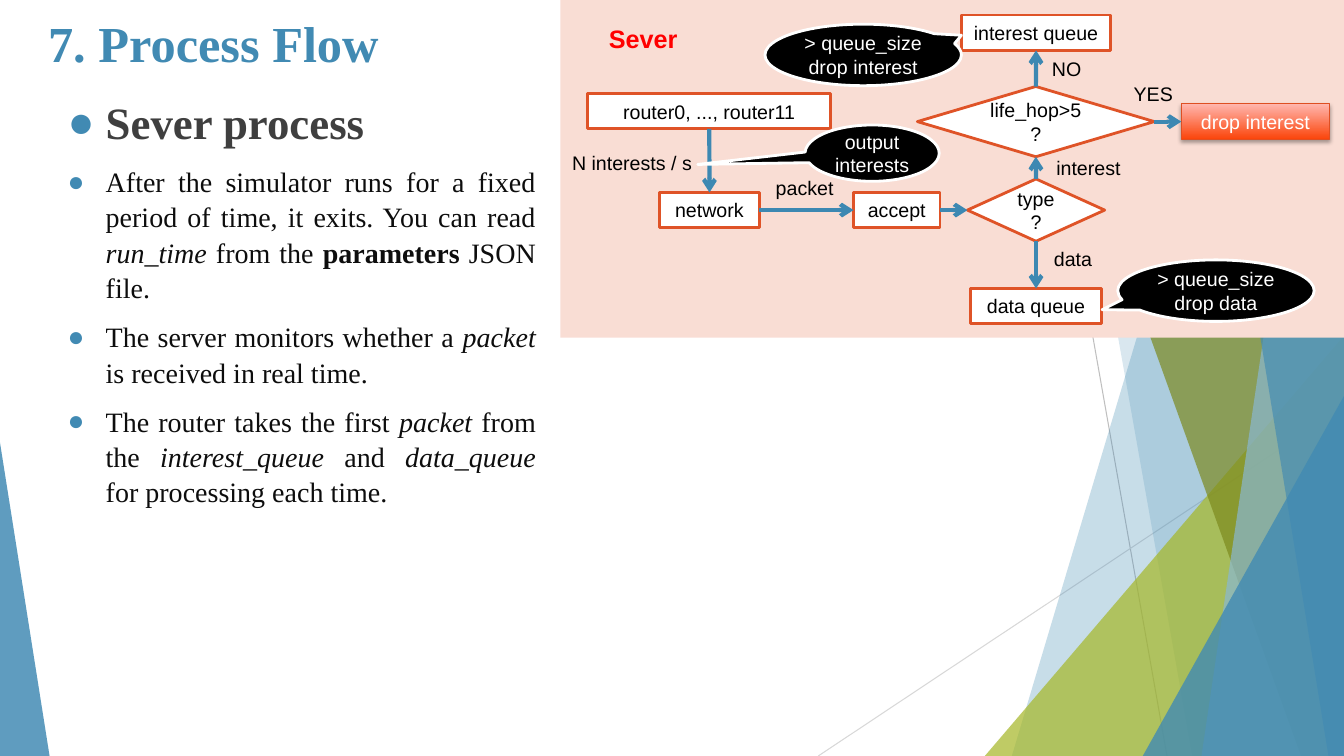
"""Builds the process flow slide with its server flowchart."""
from lxml.etree import SubElement
from pptx import Presentation
from pptx.dml.color import RGBColor
from pptx.enum.shapes import MSO_CONNECTOR, MSO_SHAPE as Kind
from pptx.enum.text import MSO_ANCHOR as Anchor, MSO_AUTO_SIZE as AutoSize, PP_ALIGN as Align
from pptx.oxml.ns import qn
from pptx.util import Cm, Pt

COLORS = {
    "blue": "418AB3", "sky": "89B8D4", "lime": "A6B727", "olive": "7C891D",
    "ray": "BFBFBF", "pale_ray": "D8D8D8", "panel": "F9DDD4", "orange": "DF5327",
    "rust": "DF4F22", "flame": "FB450B", "blush": "FFB6AE", "arrow": "3D88B2",
    "white": "FFFFFF", "black": "000000", "red": "FF0000",
    "heading": "3F3F3F", "body": "0D0D0D",
}
SLIDE_W, SLIDE_H = 33.87, 19.05
SERIF, SANS = "Times New Roman", "Arial"

TITLE = "7. Process Flow"
TITLE_BOX = (0, 0.03, 25.96, 2.16)
BODY_BOX = (1.14, 2.13, 12.62, 10.03)
BULLETS = [
    [("Sever process", "heading")],
    [("After the simulator runs for a fixed period of time, it exits. You can read ", "plain"),
     ("run_time", "italic"), (" from the ", "plain"), ("parameters", "bold"),
     (" JSON file.", "plain")],
    [("The server monitors whether a ", "plain"), ("packet", "italic"),
     (" is received in real time.", "plain")],
    [("The router takes the first ", "plain"), ("packet", "italic"), (" from the ", "plain"),
     ("interest_queue", "italic"), (" and ", "plain"), ("data_queue", "italic"),
     (" for processing each time.", "plain")],
]
STYLES = {
    "title": dict(name=SERIF, size=Pt(36), bold=True, color="blue"),
    "heading": dict(name=SERIF, size=Pt(32), bold=True, color="heading"),
    "plain": dict(name=SERIF, size=Pt(20), bold=False, color="body"),
    "italic": dict(name=SERIF, size=Pt(20), italic=True, color="body"),
    "bold": dict(name=SERIF, size=Pt(20), bold=True, color="body"),
    "dark": dict(name=SANS, size=Pt(14), color="black"),
    "light": dict(name=SANS, size=Pt(14), color="white"),
    "server": dict(name=SANS, size=Pt(18), bold=True, color="red"),
}

RAYS = [((26.04, 0), (29.41, SLIDE_H), "ray"),
        ((SLIDE_W, 10.24), (20.62, SLIDE_H), "pale_ray")]
FACETS = [
    ("band", (31.19, 25.5), "blue", 29),
    ("band", (26.67, 30.05), "blue", 20),
    ("triangle", (24.82, 8.46, 9.05, 1), "lime", 71),
    ("band", (25.93, 32.79), "olive", 69),
    ("band", (33.1, 30.28), "sky", 69),
    ("band", (30.38, 33.48), "blue", 64),
    ("triangle", (28.8, 9.98, 5.07, 1), "blue", 80),
    ("triangle", (0, 11.15, 1.25, 0), "blue", 84),
]
PANEL = (14.12, 0, 19.75, 8.51)
NODES = {
    "accept": (Kind.RECTANGLE, (21.51, 4.85, 2.18, 0.89)),
    "drop interest": (Kind.RECTANGLE, (29.77, 2.62, 3.74, 0.89)),
    "data queue": (Kind.RECTANGLE, (24.46, 7.27, 3.3, 0.89)),
    "type ?": (Kind.DIAMOND, (24.38, 4.51, 3.46, 1.57)),
    "network": (Kind.RECTANGLE, (16.62, 4.85, 2.52, 0.89)),
    "router0, ..., router11": (Kind.RECTANGLE, (14.81, 2.36, 6.13, 0.89)),
    "life_hop>5 ?": (Kind.DIAMOND, (23.12, 2.18, 5.97, 1.77)),
    "interest queue": (Kind.RECTANGLE, (24.24, 0.38, 3.74, 0.89)),
}
TOP, LEFT, BOTTOM, RIGHT = range(4)
FLOWS = [
    ("router0, ..., router11", BOTTOM, "network", TOP),
    ("network", RIGHT, "accept", LEFT),
    ("accept", RIGHT, "type ?", LEFT),
    ("type ?", TOP, "life_hop>5 ?", BOTTOM),
    ("type ?", BOTTOM, "data queue", TOP),
    ("life_hop>5 ?", RIGHT, "drop interest", LEFT),
    ("life_hop>5 ?", TOP, "interest queue", BOTTOM),
]
LABELS = [
    ("packet", (19.3, 4.32, 2.03, 0.86), Align.LEFT, "dark"),
    ("N interests / s", (14, 3.68, 3.86, 0.86), Align.CENTER, "dark"),
    ("interest", (26.37, 3.81, 2.34, 0.86), Align.LEFT, "dark"),
    ("data", (26.31, 6.1, 1.57, 0.86), Align.LEFT, "dark"),
    ("NO", (26.26, 1.3, 1.32, 0.86), Align.LEFT, "dark"),
    ("YES", (28.32, 1.93, 1.6, 0.86), Align.LEFT, "dark"),
    ("Sever", (14.38, 0.46, 3.66, 1.02), Align.CENTER, "server"),
]
CALLOUTS = [
    ("> queue_size\ndrop data", (28.17, 6.55, 4.95, 1.55), (-0.58, 0.31)),
    ("> queue_size\ndrop interest", (19.28, 0.61, 4.95, 1.55), (0.5, -0.32)),
    ("output interests", (20.29, 3.15, 3.38, 1.42), (-1.3, 0.2)),
]


def rgb(color):
    return RGBColor.from_string(COLORS[color])


def cms(lengths):
    return [Cm(length) for length in lengths]


def assign(target, values):
    for key, value in values.items():
        setattr(target, key, value)


def style_font(font, style):
    for key, value in STYLES[style].items():
        if key == "color":
            font.color.rgb = rgb(value)
        else:
            setattr(font, key, value)


def write(shape, text, style, align=Align.CENTER, anchor=Anchor.MIDDLE):
    frame = shape.text_frame
    frame.text = text
    assign(frame, dict(word_wrap=True, vertical_anchor=anchor))
    for paragraph in frame.paragraphs:
        paragraph.alignment = align
        style_font(paragraph.runs[0].font, style)


def paint(shape, fill, line=None, width=2, alpha=None):
    shape.shadow.inherit = False
    shape.fill.solid()
    shape.fill.fore_color.rgb = rgb(fill)
    if alpha:
        tint = shape.fill._xPr.find(qn("a:solidFill"))[0]
        SubElement(tint, qn("a:alpha"), val=str(alpha * 1000))
    if line:
        shape.line.color.rgb = rgb(line)
        shape.line.width = Pt(width)
    else:
        shape.line.fill.background()


def add_line(shapes, start, end, color, width):
    line = shapes.add_connector(MSO_CONNECTOR.STRAIGHT, *cms(start), *cms(end))
    line.line.color.rgb = rgb(color)
    line.line.width = Pt(width)
    SubElement(line._element.spPr, qn("a:effectLst"))
    return line


def add_backdrop(shapes):
    for start, end, color in RAYS:
        add_line(shapes, start, end, color, 0.75)
    for kind, geometry, color, alpha in FACETS:
        if kind == "band":
            top, bottom = geometry
            corners = [(SLIDE_W, 0), (SLIDE_W, SLIDE_H), (bottom, SLIDE_H)]
            outline = shapes.build_freeform(Cm(top), 0)
            outline.add_line_segments([cms(corner) for corner in corners], close=True)
            facet = outline.convert_to_shape()
        else:
            left, top, width, apex = geometry
            facet = shapes.add_shape(Kind.ISOSCELES_TRIANGLE, *cms((left, top, width, SLIDE_H - top)))
            facet.adjustments[0] = apex
        paint(facet, color, alpha=alpha)
    paint(shapes.add_shape(Kind.RECTANGLE, *cms(PANEL)), "panel")


def highlight(node):
    node.fill.gradient()
    node.fill.gradient_angle = 90
    for stop, color, position in zip(node.fill.gradient_stops, ("flame", "blush"), (0, 1)):
        stop.color.rgb = rgb(color)
        stop.position = position
    node.line.color.rgb = rgb("rust")
    node.line.width = Pt(0.75)
    shadow = SubElement(node._element.spPr.find(qn("a:effectLst")), qn("a:outerShdw"),
                        blurRad=str(Pt(3.1)), dist=str(Pt(1.8)), dir="5400000", rotWithShape="0")
    shade = SubElement(shadow, qn("a:srgbClr"), val=COLORS["black"])
    SubElement(shade, qn("a:alpha"), val="35000")


def add_flowchart(shapes):
    nodes = {}
    for name, (kind, box) in NODES.items():
        nodes[name] = shapes.add_shape(kind, *cms(box))
        paint(nodes[name], "white", "orange")
        write(nodes[name], name, "light" if name == "drop interest" else "dark")
    highlight(nodes["drop interest"])
    for source, exit_side, target, entry_side in FLOWS:
        flow = add_line(shapes, (0, 0), (0, 0), "arrow", 3)
        flow.begin_connect(nodes[source], exit_side)
        flow.end_connect(nodes[target], entry_side)
        SubElement(flow.line._get_or_add_ln(), qn("a:tailEnd"), type="arrow")
    for text, box, align, style in LABELS:
        write(shapes.add_textbox(*cms(box)), text, style, align, Anchor.TOP)
    for text, box, tip in CALLOUTS:
        callout = shapes.add_shape(Kind.OVAL_CALLOUT, *cms(box))
        callout.adjustments[0], callout.adjustments[1] = tip
        paint(callout, "black", "white")
        write(callout, text, "light")


def place(holder, box, margins):
    assign(holder, dict(zip(("left", "top", "width", "height"), cms(box))))
    assign(holder.text_frame, dict(auto_size=AutoSize.NONE, vertical_anchor=Anchor.TOP, **margins))


def add_bullets(frame):
    for index, pieces in enumerate(BULLETS):
        paragraph = frame.add_paragraph() if index else frame.paragraphs[0]
        props = paragraph._p.get_or_add_pPr()
        props.set("marL", str(Cm(1.27)))
        props.set("indent", str(Cm(-0.96)))
        SubElement(SubElement(props, qn("a:buClr")), qn("a:srgbClr"), val=COLORS["blue"])
        SubElement(props, qn("a:buFont"), typeface=SANS)
        SubElement(props, qn("a:buChar"), char="●")
        assign(paragraph, dict(alignment=Align.JUSTIFY, line_spacing=1.05,
                               space_before=Pt(10 if index else 0)))
        for text, style in pieces:
            run = paragraph.add_run()
            run.text = text
            style_font(run.font, style)


def main():
    deck = Presentation()
    assign(deck, dict(slide_width=Cm(SLIDE_W), slide_height=Cm(SLIDE_H)))
    slide = deck.slides.add_slide(deck.slide_layouts[1])
    title, body = slide.placeholders
    add_backdrop(slide.shapes)
    write(title, TITLE, "title", Align.LEFT)
    place(title, TITLE_BOX, dict(margin_left=Cm(1.21), margin_top=Cm(0.28)))
    place(body, BODY_BOX, dict(margin_top=Cm(0.2)))
    add_bullets(body.text_frame)
    add_flowchart(slide.shapes)
    deck.save("out.pptx")


if __name__ == "__main__":
    main()
